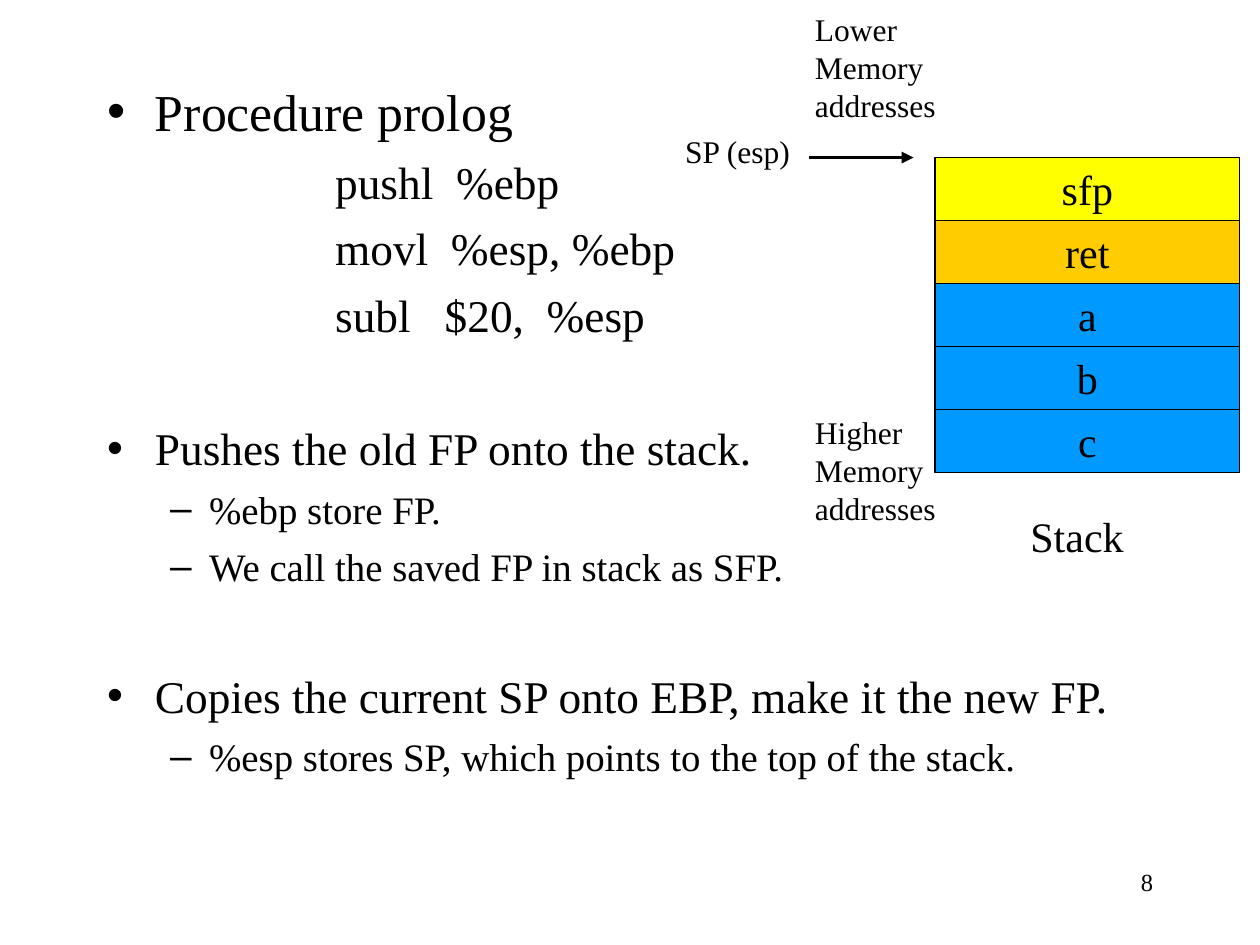
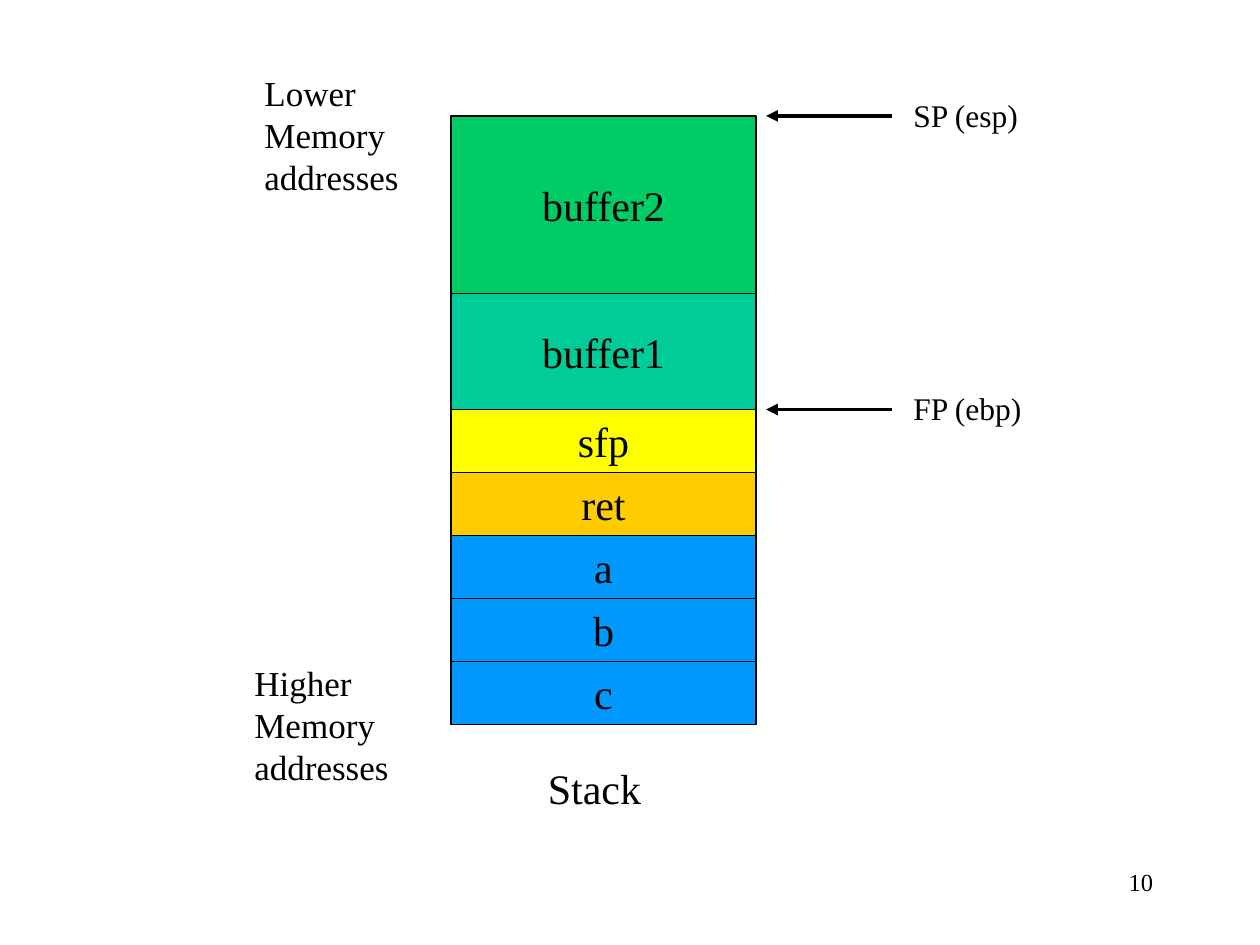
from lxml.etree import SubElement as add_tag
from pptx import Presentation
from pptx.dml.color import RGBColor
from pptx.enum.shapes import MSO_CONNECTOR as Link, MSO_SHAPE as Shape
from pptx.enum.text import MSO_ANCHOR as Anchor, MSO_AUTO_SIZE as Fit, PP_ALIGN as Align
from pptx.oxml.ns import qn
from pptx.util import Inches, Pt

FONT = "Times New Roman"
BLACK = RGBColor(0x00, 0x00, 0x00)
BLUE = RGBColor(0x00, 0x99, 0xFF)
ORANGE = RGBColor(0xFF, 0xCC, 0x00)
YELLOW = RGBColor(0xFF, 0xFF, 0x00)
TEAL = RGBColor(0x00, 0xCC, 0x99)
GREEN = RGBColor(0x00, 0xCC, 0x66)

CELL_W = 2.42
LOW = ["Lower", "Memory", "addresses"]
HIGH = ["Higher", "Memory", "addresses"]

# Stack cells from the top down: name, colour, height
FRAME = [
    ("sfp", YELLOW, 0.5),
    ("ret", ORANGE, 0.5),
    ("a", BLUE, 0.5),
    ("b", BLUE, 0.5),
    ("c", BLUE, 0.5),
]
BUFFERS = [("buffer2", GREEN, 1.41), ("buffer1", TEAL, 0.92)]

# Kind of line: level, size, space before, left margin, first-line indent
KINDS = {
    "head": (0, 29.6, 8, 0.38, -0.38),
    "code": (1, 25.9, 7, 1.81, 0),
    "part": (0, 25.9, 45, 0.38, -0.38),
    "sub": (1, 22.2, 6, 0.81, -0.31),
}

PROLOG = [
    ("head", "Procedure prolog"),
    ("code", "pushl  %ebp"),
    ("code", "movl  %esp, %ebp"),
    ("code", "subl   $20,  %esp"),
    ("part", "Pushes the old FP onto the stack."),
    ("sub", "%ebp store FP."),
    ("sub", "We call the saved FP in stack as SFP."),
    ("part", "Copies the current SP onto EBP, make it the new FP."),
    ("sub", "%esp stores SP, which points to the top of the stack."),
]

# Labels: lines, size, left, top, width, height
# Arrows: start x, tip x, y
SLIDES = [
    {
        "number": "8",
        "body": PROLOG,
        "cells": FRAME,
        "stack": (7.42, 1.25),
        "labels": [
            (["Stack"], 24, 8.08, 4, 0.94, 0.5),
            (LOW, 18, 6.37, 0.03, 1.17, 1),
            (HIGH, 18, 6.37, 3.23, 1.17, 1),
            (["SP (esp)"], 18, 5.34, 1, 1.04, 0.4),
        ],
        "arrows": [(6.42, 7.25, 1.25)],
    },
    {
        "number": "10",
        "body": [],
        "cells": BUFFERS + FRAME,
        "stack": (3.58, 0.92),
        "labels": [
            (["Stack"], 24, 4.25, 6, 0.94, 0.5),
            (["SP (esp)"], 18, 7.15, 0.71, 1.04, 0.4),
            (["FP (ebp)"], 18, 7.15, 3.04, 1.07, 0.4),
            (LOW, 20, 2, 0.52, 1.28, 1.1),
            (HIGH, 20, 1.92, 5.2, 1.28, 1.1),
        ],
        "arrows": [(7.08, 6.08, 3.25), (7.08, 6.08, 0.92)],
    },
]


def box(*nums):
    return [Inches(n) for n in nums]


def add_run(para, text, size):
    run = para.add_run()
    run.text = text
    run.font.name = FONT
    run.font.size = Pt(size)
    run.font.color.rgb = BLACK


def fill_lines(frame):
    """Yield a new paragraph each time, using the empty first one."""
    yield frame.paragraphs[0]
    while True:
        yield frame.add_paragraph()


def add_label(slide, lines, size, *place, align=Align.LEFT, wrap=False):
    frame = slide.shapes.add_textbox(*box(*place)).text_frame
    frame.word_wrap = wrap
    frame.auto_size = Fit.NONE if wrap else Fit.SHAPE_TO_FIT_TEXT
    for text, para in zip(lines, fill_lines(frame)):
        para.alignment = align
        add_run(para, text, size)


def add_cell(slide, name, color, *place):
    cell = slide.shapes.add_shape(Shape.RECTANGLE, *box(*place))
    cell.shadow.inherit = False
    cell.fill.solid()
    cell.fill.fore_color.rgb = color
    cell.line.color.rgb = BLACK
    cell.line.width = Pt(0.75)
    frame = cell.text_frame
    frame.word_wrap = False
    frame.vertical_anchor = Anchor.MIDDLE
    para = frame.paragraphs[0]
    para.alignment = Align.CENTER
    add_run(para, name, 24)


def add_stack(slide, cells, left, top):
    for name, color, high in cells:
        add_cell(slide, name, color, left, top, CELL_W, high)
        top += high


def add_arrow(slide, start, tip, y):
    arrow = slide.shapes.add_connector(Link.STRAIGHT, *box(start, y, tip, y))
    arrow.line.color.rgb = BLACK
    arrow.line.width = Pt(2.25)
    props = arrow.element.spPr
    add_tag(props.find(qn("a:ln")), qn("a:tailEnd"), type="triangle")
    add_tag(props, qn("a:effectLst"))


def add_body(slide, lines):
    body = slide.placeholders[1]
    body.left, body.top, body.width, body.height = box(0.75, 0.58, 8.5, 6.08)
    frame = body.text_frame
    frame.auto_size = Fit.NONE
    for (kind, text), para in zip(lines, fill_lines(frame)):
        level, size, gap, margin, indent = KINDS[kind]
        para.level = level
        para.space_before = Pt(gap)
        props = para._p.get_or_add_pPr()
        props.set("marL", str(Inches(margin)))
        props.set("indent", str(Inches(indent)))
        if kind == "code":
            add_tag(props, qn("a:buNone"))
        add_run(para, text, size)


def add_page(deck, page):
    slide = deck.slides.add_slide(deck.slide_layouts[1 if page["body"] else 6])
    if page["body"]:
        title = slide.shapes.title.element
        title.getparent().remove(title)
        add_body(slide, page["body"])
    add_label(slide, [page["number"]], 14, 7.17, 6.83, 2.08, 0.5,
              align=Align.RIGHT, wrap=True)
    add_stack(slide, page["cells"], *page["stack"])
    for label in page["labels"]:
        add_label(slide, *label)
    for arrow in page["arrows"]:
        add_arrow(slide, *arrow)


def main():
    deck = Presentation()
    deck.slide_width, deck.slide_height = box(10, 7.5)
    for page in SLIDES:
        add_page(deck, page)
    deck.save("out.pptx")


if __name__ == "__main__":
    main()
